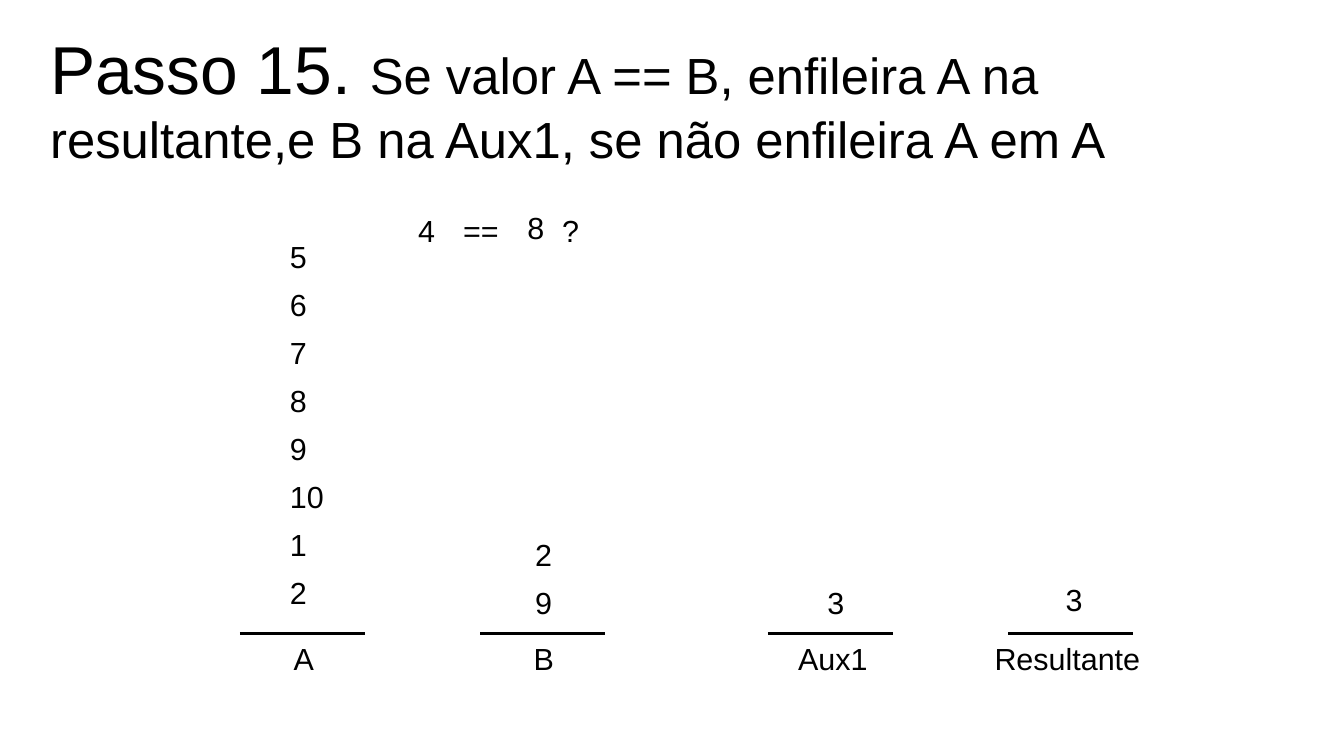
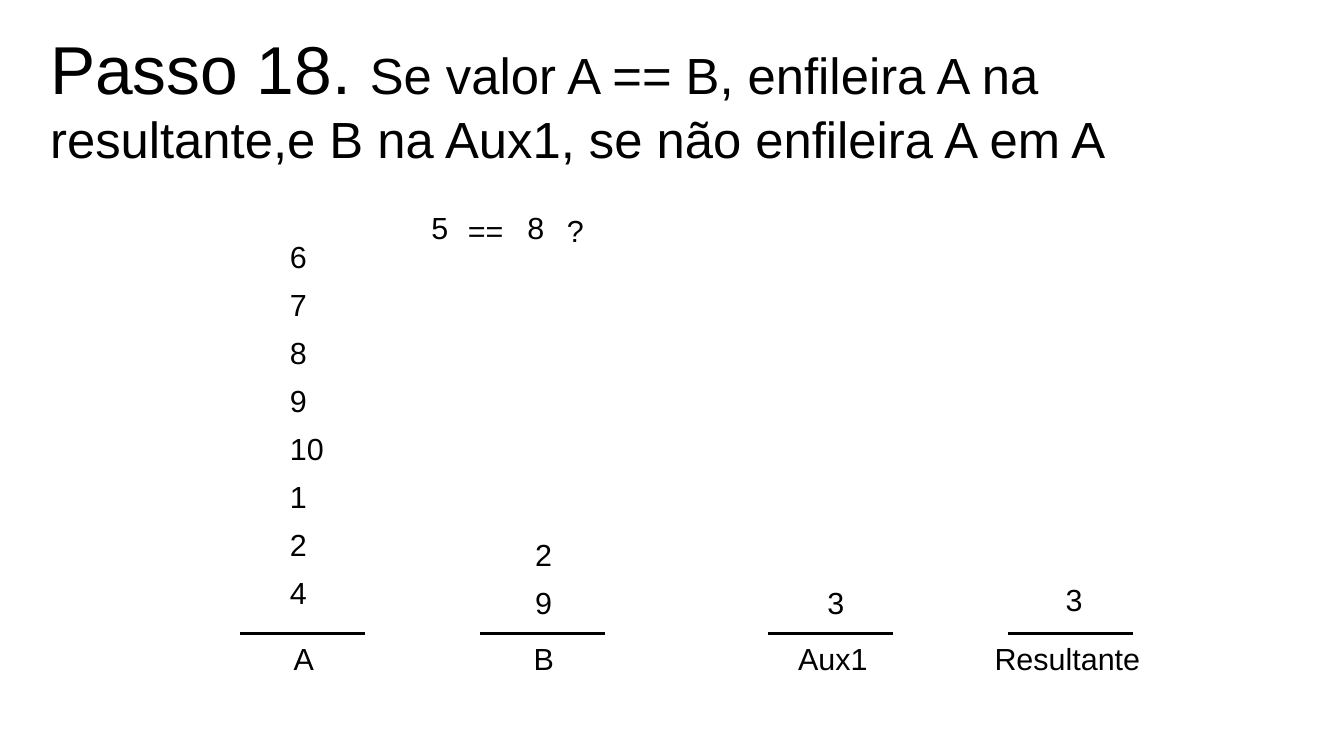
import dataclasses

import lxml.etree
import pptx
import pptx.dml.color
import pptx.enum.shapes
import pptx.enum.text
import pptx.oxml.ns
import pptx.util

Cm = pptx.util.Cm
Pt = pptx.util.Pt


@dataclasses.dataclass(frozen=True)
class Theme:
    """Shared colours, font and type sizes."""
    ink: pptx.dml.color.RGBColor = pptx.dml.color.RGBColor(0, 0, 0)
    font: str = "Arial"
    step_size: int = 40
    rule_size: int = 30
    body_size: int = 18
    hairline: int = 0


@dataclasses.dataclass(frozen=True)
class Queue:
    """Places of one queue's parts, in centimetres."""
    name: str
    left: float
    label_dx: float
    label_width: float
    item_dx: float
    item_gap: float


THEME = Theme()
BASE_WIDTH = 2.6
BASE_TOP = 13.2
ROW = 1
RULE = "Se valor A == B, enfileira A na resultante,e B na Aux1, se não enfileira A em A"
QUEUES = [
    Queue("A", 5, 0.87, 2.72, 0.79, 0.36),
    Queue("B", 10, 0.87, 0.92, 0.9, 0.16),
    Queue("Aux1", 16, 0.38, 1.96, 0.99, 0.16),
    Queue("Resultante", 21, -0.53, 3.6, 0.95, 0.21),
]
STEPS = [
    ("Passo 15. ",
     [[5, 6, 7, 8, 9, 10, 1, 2], [2, 9], [3], [3]],
     [("4", 8.46, 4.29), ("==", 9.4, 4.29), ("8", 10.74, 4.24), ("?", 11.46, 4.29)]),
    ("Passo 18. ",
     [[6, 7, 8, 9, 10, 1, 2, 4], [2, 9], [3], [3]],
     [("5", 8.74, 4.24), ("==", 9.5, 4.29), ("8", 10.74, 4.24), ("?", 11.56, 4.29)]),
]


def style_font(font, size):
    """Apply the theme font at the given size."""
    font.name = THEME.font
    font.size = Pt(size)
    font.color.rgb = THEME.ink


def add_title(s, step):
    """Set the step number and its rule in the title placeholder."""
    sp = s.shapes.title
    sp.left, sp.top, sp.width, sp.height = Cm(0.79), Cm(0.43), Cm(26.4), Cm(4.2)
    tf = sp.text_frame
    tf.auto_size = pptx.enum.text.MSO_AUTO_SIZE.NONE
    tf.vertical_anchor = pptx.enum.text.MSO_ANCHOR.TOP
    p = tf.paragraphs[0]
    p.alignment = pptx.enum.text.PP_ALIGN.LEFT
    for text, size in ((step, THEME.step_size), (RULE, THEME.rule_size)):
        r = p.add_run()
        r.text = text
        style_font(r.font, size)


def add_text(s, text, left, top, width=1.4):
    """Add one line of body text at a place in centimetres."""
    sp = s.shapes.add_textbox(Cm(left), Cm(top), Cm(width), Cm(0.97))
    tf = sp.text_frame
    tf.word_wrap = True
    tf.margin_right = 0
    p = tf.paragraphs[0]
    p.text = text
    style_font(p.font, THEME.body_size)


def add_queue(s, queue, items):
    """Draw a base line with its name below and its items stacked above."""
    line = s.shapes.add_connector(
        pptx.enum.shapes.MSO_CONNECTOR.STRAIGHT,
        Cm(queue.left), Cm(BASE_TOP), Cm(queue.left + BASE_WIDTH), Cm(BASE_TOP))
    line.line.color.rgb = THEME.ink
    line.line.width = Pt(THEME.hairline)
    lxml.etree.SubElement(line._element.spPr, pptx.oxml.ns.qn("a:effectLst"))
    add_text(s, queue.name, queue.left + queue.label_dx, BASE_TOP, queue.label_width)
    for row, item in enumerate(reversed(items), start=1):
        add_text(s, str(item), queue.left + queue.item_dx,
                 BASE_TOP - queue.item_gap - row * ROW)


def add_step(prs, step, contents, comparison):
    """Build one slide of the queue walkthrough."""
    s = prs.slides.add_slide(prs.slide_layouts.get_by_name("Title Only"))
    add_title(s, step)
    for queue, items in zip(QUEUES, contents):
        add_queue(s, queue, items)
    for text, left, top in comparison:
        add_text(s, text, left, top)


prs = pptx.Presentation()
prs.slide_width, prs.slide_height = Cm(28), Cm(15.75)
for step, contents, comparison in STEPS:
    add_step(prs, step, contents, comparison)
prs.save("out.pptx")
